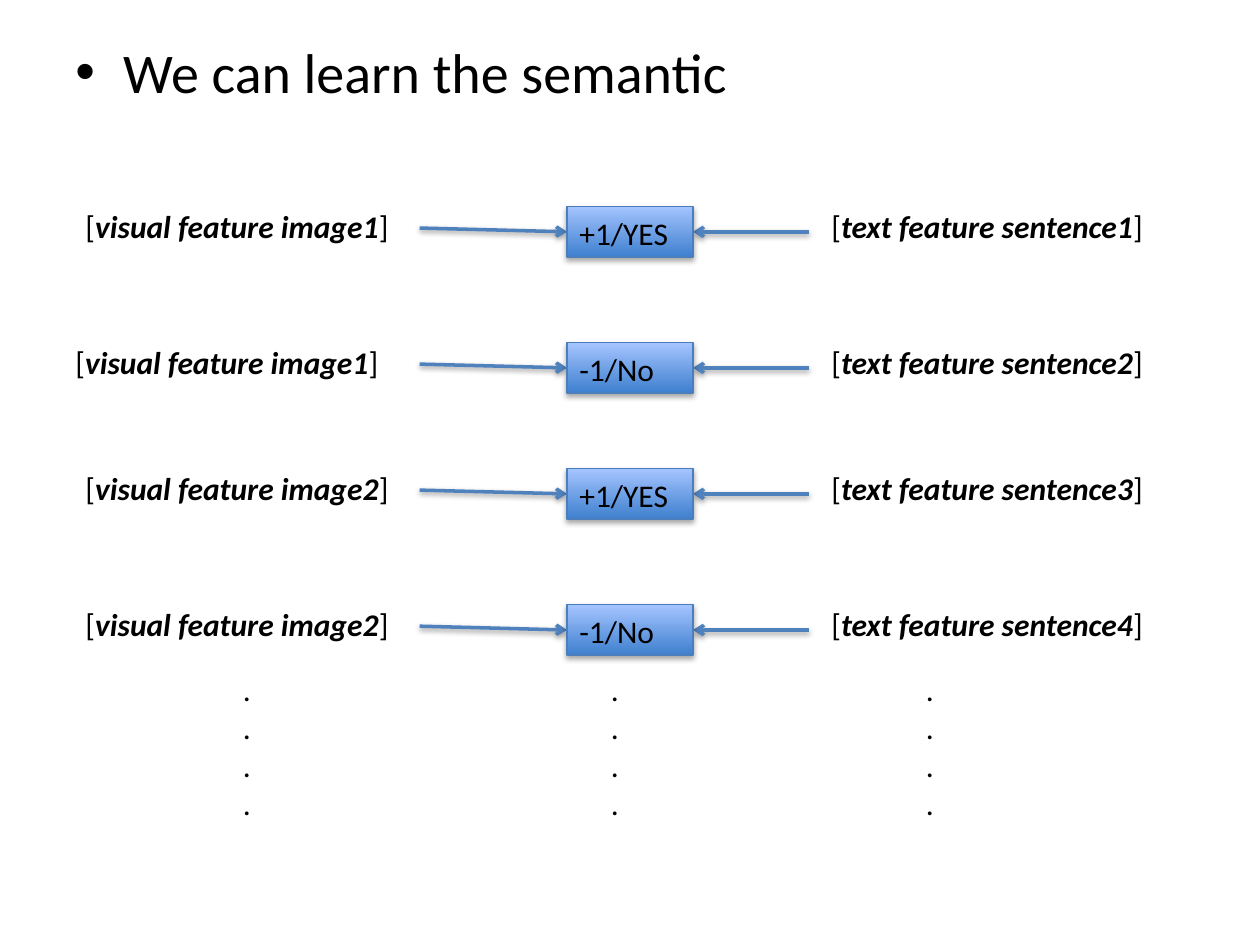
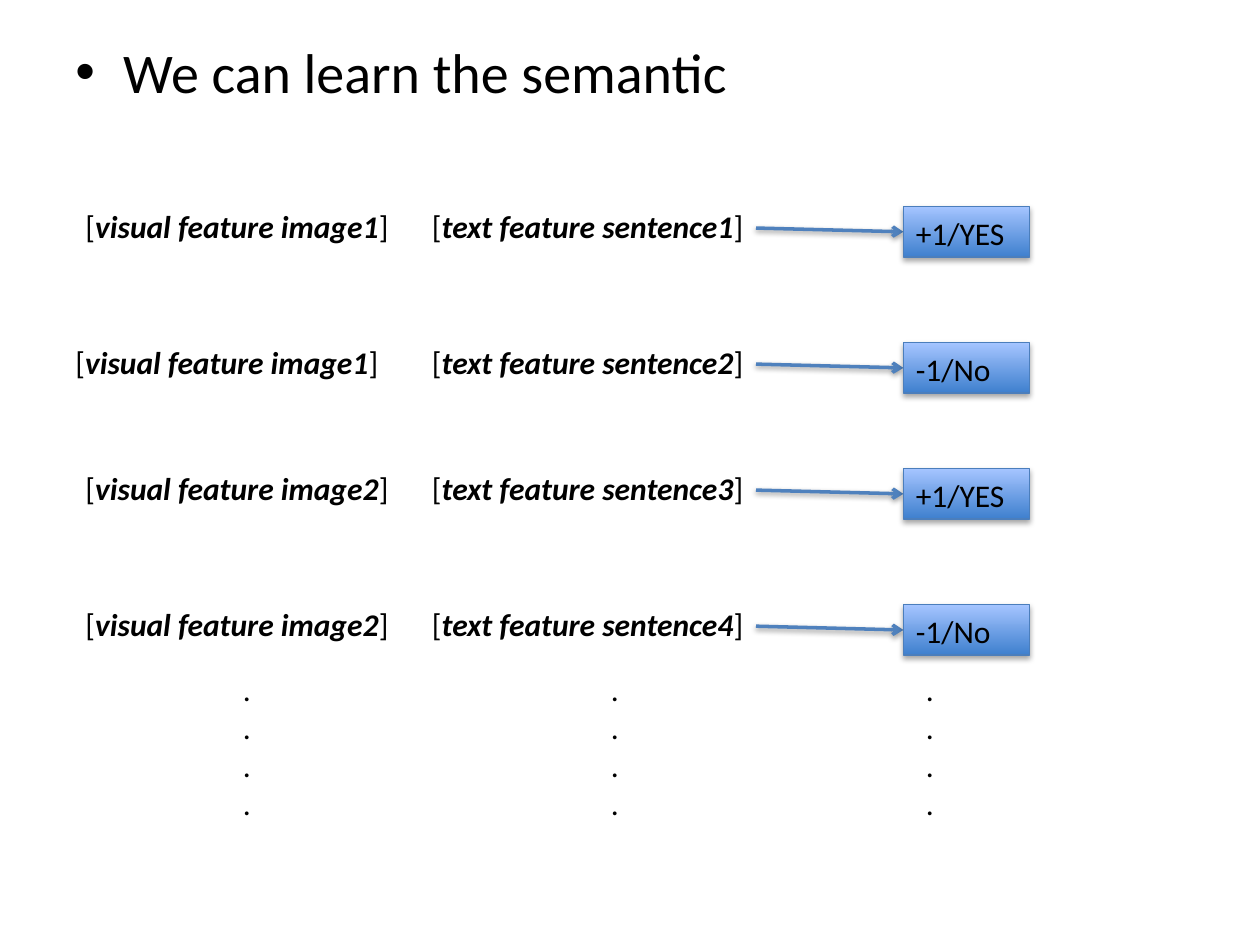
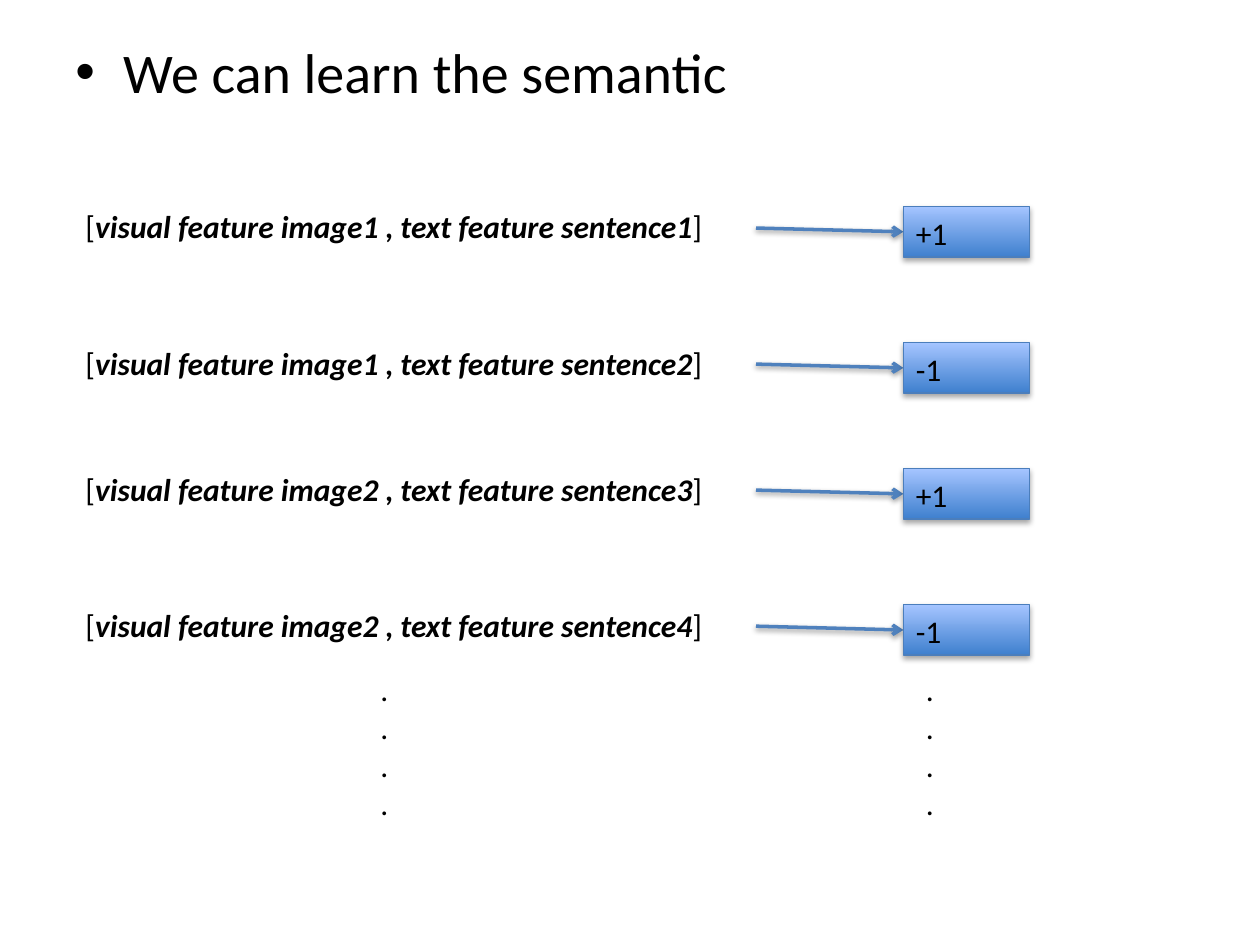
from pptx import Presentation
from pptx.dml.color import RGBColor
from pptx.enum.shapes import MSO_CONNECTOR, MSO_SHAPE
from pptx.enum.text import MSO_AUTO_SIZE
from pptx.oxml import parse_xml
from pptx.oxml.ns import nsdecls
from pptx.util import Inches, Pt

STRAIGHT = MSO_CONNECTOR.STRAIGHT
RECT = MSO_SHAPE.RECTANGLE
GROW = MSO_AUTO_SIZE.SHAPE_TO_FIT_TEXT

BLACK = RGBColor(0x00, 0x00, 0x00)
ARROW = RGBColor(0x4F, 0x81, 0xBD)
EDGE = RGBColor(0x4B, 0x7E, 0xBC)
DARK = RGBColor(0x3F, 0x80, 0xCE)
LIGHT = RGBColor(0xA4, 0xC4, 0xFF)

BODY = {"name": "Calibri", "size": Pt(18)}
HEAD = {"name": "Calibri", "size": Pt(32)}
PLAIN = {"bold": False, "italic": False}
STRONG = {"bold": True, "italic": True}


def write(slide, x, y, w, h, lines, style=BODY):
    """Add a text box; each line is a list of (text, format) runs."""
    box = slide.shapes.add_textbox(Inches(x), Inches(y), Inches(w), Inches(h))
    frame = box.text_frame
    frame.word_wrap = True
    if style is BODY:
        frame.auto_size = GROW
    for i, runs in enumerate(lines):
        para = frame.paragraphs[0] if i == 0 else frame.add_paragraph()
        for words, extra in runs:
            run = para.add_run()
            run.text = words
            run.font.color.rgb = BLACK
            for key, value in {**style, **extra}.items():
                setattr(run.font, key, value)
    return frame


def shade(shape, alpha, dist):
    """Give a shape or connector a soft shadow straight below it."""
    shape._element.spPr.append(parse_xml(
        f'<a:effectLst {nsdecls("a")}><a:outerShdw blurRad="{Pt(3.15)}" '
        f'dist="{Pt(dist)}" dir="5400000" rotWithShape="0">'
        f'<a:srgbClr val="{BLACK}"><a:alpha val="{alpha * 1000}"/></a:srgbClr>'
        '</a:outerShdw></a:effectLst>'))


deck = Presentation()
deck.slide_width, deck.slide_height = Inches(10), Inches(7.5)

# Rows: top of the arrow, image number, answer
ROWS = [(1.81, 1, "+1/YES"), (2.89, 1, "-1/No"),
        (3.89, 2, "+1/YES"), (4.97, 2, "-1/No")]

# Slides: answer column, sentence column, dot columns, features joined
SLIDES = [(4.5, 6.5, (1.83, 4.75, 7.25), False),
          (7.17, 3.33, (1.83, 4.75, 7.25), False),
          (7.17, 3.08, (2.92, 7.25), True)]

for left, text_x, dots, joined in SLIDES:
    slide = deck.slides.add_slide(deck.slide_layouts[6])

    # Bulleted title
    frame = write(slide, 0.5, 0.25, 9, 0.75,
                  [[("We can learn the semantic", PLAIN)]], HEAD)
    props = frame.paragraphs[0]._p.get_or_add_pPr()
    props.set("marL", str(Inches(0.38)))
    props.set("indent", str(Inches(-0.38)))
    for tag in ('<a:spcBef {}><a:spcPct val="20000"/></a:spcBef>',
                '<a:buFont {} typeface="Arial"/>', '<a:buChar {} char="•"/>'):
        props.append(parse_xml(tag.format(nsdecls("a"))))

    for num, (top, image, answer) in enumerate(ROWS, 1):
        # Arrows into the answer, from the right too if the sentence is there
        mid = top + 0.03
        arrows = [(left - 1.17, top, left)]
        if text_x > left:
            arrows.append((left + 1.92, mid, left + 1))
        for start, y, end in arrows:
            line = slide.shapes.add_connector(
                STRAIGHT, Inches(start), Inches(y), Inches(end), Inches(mid))
            line.line.color.rgb = ARROW
            line.line.width = Pt(2)
            line.line._get_or_add_ln().append(
                parse_xml(f'<a:tailEnd {nsdecls("a")} type="arrow"/>'))
            shade(line, 38, 1.57)

        # Answer box and its label
        box = slide.shapes.add_shape(
            RECT, Inches(left), Inches(top - 0.17), Inches(1), Inches(0.4))
        box.fill.gradient()
        box.fill.gradient_angle = 90
        for stop, color in zip(box.fill.gradient_stops, (DARK, LIGHT)):
            stop.color.rgb = color
        box.line.color.rgb = EDGE
        box.line.width = Pt(0.75)
        shade(box, 35, 1.81)
        label = answer.split("/")[0] if joined else answer
        write(slide, left, top - 0.16, 1, 0.4, [[(label, PLAIN)]])

        # Image and sentence features
        visual = f"visual feature image{image}"
        text = [(f"text feature sentence{num}", STRONG), ("]", PLAIN)]
        if joined:
            pair = [("[", PLAIN), (visual + " ,", STRONG)]
        else:
            pair = [("[", PLAIN), (visual, STRONG), ("]", PLAIN)]
            text.insert(0, ("[", PLAIN))
        image_x = 0.5 if num == 2 and not joined else 0.58
        y = top - (0.21 if joined and num > 1 else 0.22)
        write(slide, image_x, y, 2.75, 0.4, [pair])
        write(slide, text_x, y, 2.75, 0.4, [text])

    # Dots that continue each column
    for x in dots:
        write(slide, x, 5.27, 0.5, 1.31, [[(".", PLAIN)]] * 4)

deck.save("out.pptx")
